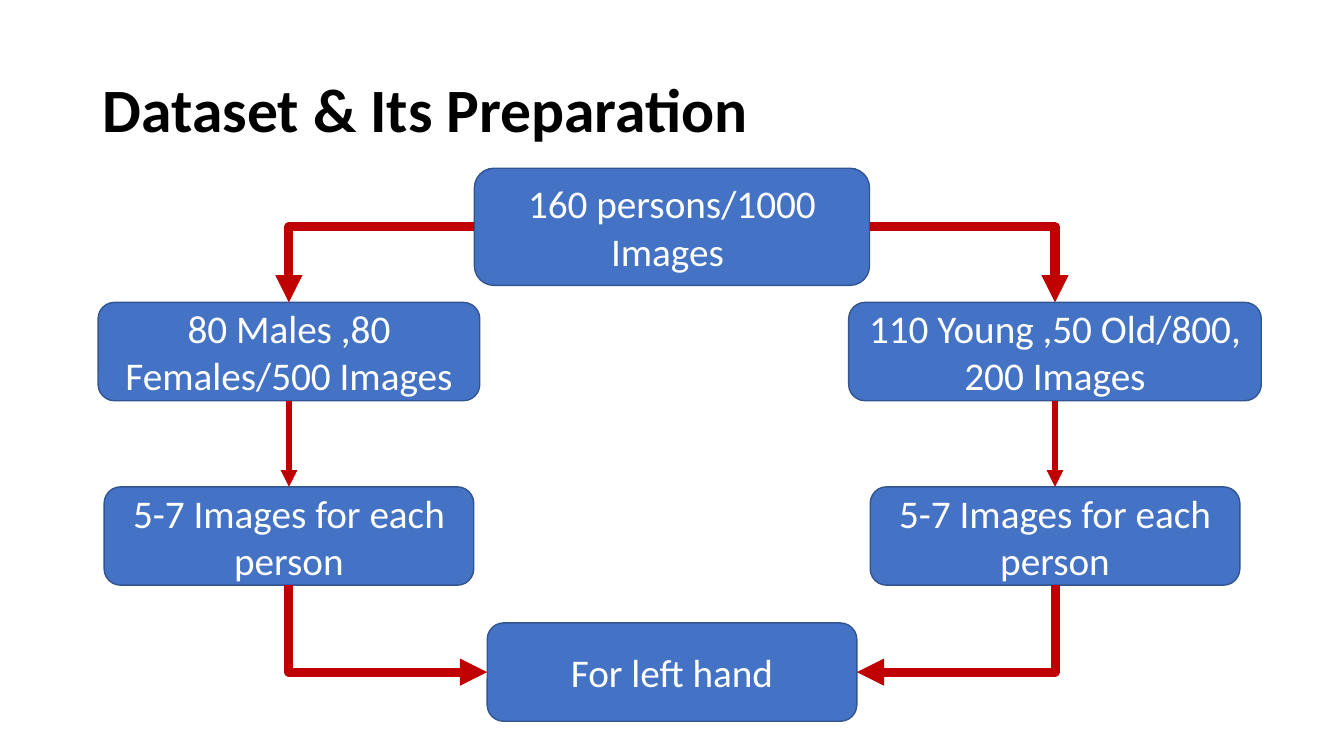
import lxml.etree
import pptx
import pptx.dml.color
import pptx.enum.shapes
import pptx.enum.text
import pptx.oxml.ns
import pptx.util

TOP, LEFT, BOTTOM, RIGHT = range(4)
ALIGN = pptx.enum.text.PP_ALIGN
ANCHOR = pptx.enum.text.MSO_ANCHOR


def color(hex_text):
    return pptx.dml.color.RGBColor.from_string(hex_text)


def write(shape, text, size=28, fill="FFFFFF", bold=False, align=ALIGN.CENTER, spacing=1.0):
    frame = shape.text_frame
    frame.word_wrap = True
    frame.auto_size = pptx.enum.text.MSO_AUTO_SIZE.NONE
    frame.vertical_anchor = ANCHOR.MIDDLE
    paragraph = frame.paragraphs[0]
    paragraph.alignment = align
    paragraph.line_spacing = spacing
    run = paragraph.add_run()
    run.text = text
    run.font.name = "Calibri"
    run.font.size = pptx.util.Pt(size)
    run.font.bold = bold
    run.font.color.rgb = color(fill)


class FlowSlide:
    """Draws a flow chart on one slide, with lengths as shares of its size."""

    box_fill, box_line, arrow_color = "4472C4", "325491", "C00000"

    def __init__(self, presentation):
        self.width = presentation.slide_width
        self.height = presentation.slide_height
        self.slide = presentation.slides.add_slide(presentation.slide_layouts[5])

    def across(self, share):
        return int(self.width * share)

    def down(self, share):
        return int(self.height * share)

    def title(self, text, left, top, width, height):
        shape = self.slide.shapes.title
        shape.left, shape.top = self.across(left), self.down(top)
        shape.width, shape.height = self.across(width), self.down(height)
        write(shape, text, size=44, fill="000000", bold=True, align=ALIGN.LEFT, spacing=0.9)

    def box(self, text, center, middle, width=0.275, height=0.13):
        shape = self.slide.shapes.add_shape(
            pptx.enum.shapes.MSO_SHAPE.ROUNDED_RECTANGLE,
            self.across(center - width / 2), self.down(middle - height / 2),
            self.across(width), self.down(height))
        shape.shadow.inherit = False
        shape.fill.solid()
        shape.fill.fore_color.rgb = color(self.box_fill)
        shape.line.color.rgb = color(self.box_line)
        shape.line.width = pptx.util.Pt(1)
        write(shape, text)
        return shape

    def arrow(self, start, start_side, end, end_side, weight=6.5):
        connector = self.slide.shapes.add_connector(
            pptx.enum.shapes.MSO_CONNECTOR.STRAIGHT, 0, 0, 0, 0)
        connector.begin_connect(start, start_side)
        connector.end_connect(end, end_side)
        connector.line.color.rgb = color(self.arrow_color)
        connector.line.width = pptx.util.Pt(weight)
        qn = pptx.oxml.ns.qn
        properties = connector._element.spPr
        lxml.etree.SubElement(properties.find(qn("a:ln")), qn("a:tailEnd"), type="triangle")
        lxml.etree.SubElement(properties, qn("a:effectLst"))
        if (start_side, end_side) != (BOTTOM, TOP):
            properties.find(qn("a:prstGeom")).set("prst", "bentConnector2")
        if start_side == BOTTOM and end_side != TOP:
            self.turn(connector)

    def turn(self, connector):
        """Rotates an elbow a quarter turn so that it leaves downwards."""
        run = connector.end_x - connector.begin_x
        drop = connector.end_y - connector.begin_y
        center = (connector.begin_x + connector.end_x) // 2
        middle = (connector.begin_y + connector.end_y) // 2
        connector.begin_x, connector.end_x = center - drop // 2, center + drop // 2
        connector.begin_y, connector.end_y = middle + run // 2, middle - run // 2
        connector._element.spPr.find(pptx.oxml.ns.qn("a:xfrm")).set("rot", "5400000")


def main():
    presentation = pptx.Presentation()
    presentation.slide_width = pptx.util.Inches(13.33)
    presentation.slide_height = pptx.util.Inches(7.5)
    flow = FlowSlide(presentation)
    flow.title("Dataset & Its Preparation", 0.069, 0.053, 0.863, 0.193)

    dataset = flow.box("160 persons/1000 Images ", 0.5, 0.3, 0.294, 0.155)
    left_hand = flow.box("For left hand", 0.5, 0.889)
    branches = [
        (0.215, LEFT, "80 Males ,80 Females/500 Images", 0.284),
        (0.785, RIGHT, "110 Young ,50 Old/800, 200 Images", 0.307),
    ]
    for center, side, text, width in branches:
        group = flow.box(text, center, 0.465, width)
        samples = flow.box("5-7 Images for each person", center, 0.709)
        flow.arrow(dataset, side, group, TOP)
        flow.arrow(group, BOTTOM, samples, TOP, weight=4)
        flow.arrow(samples, BOTTOM, left_hand, side)

    presentation.save("out.pptx")


if __name__ == "__main__":
    main()
